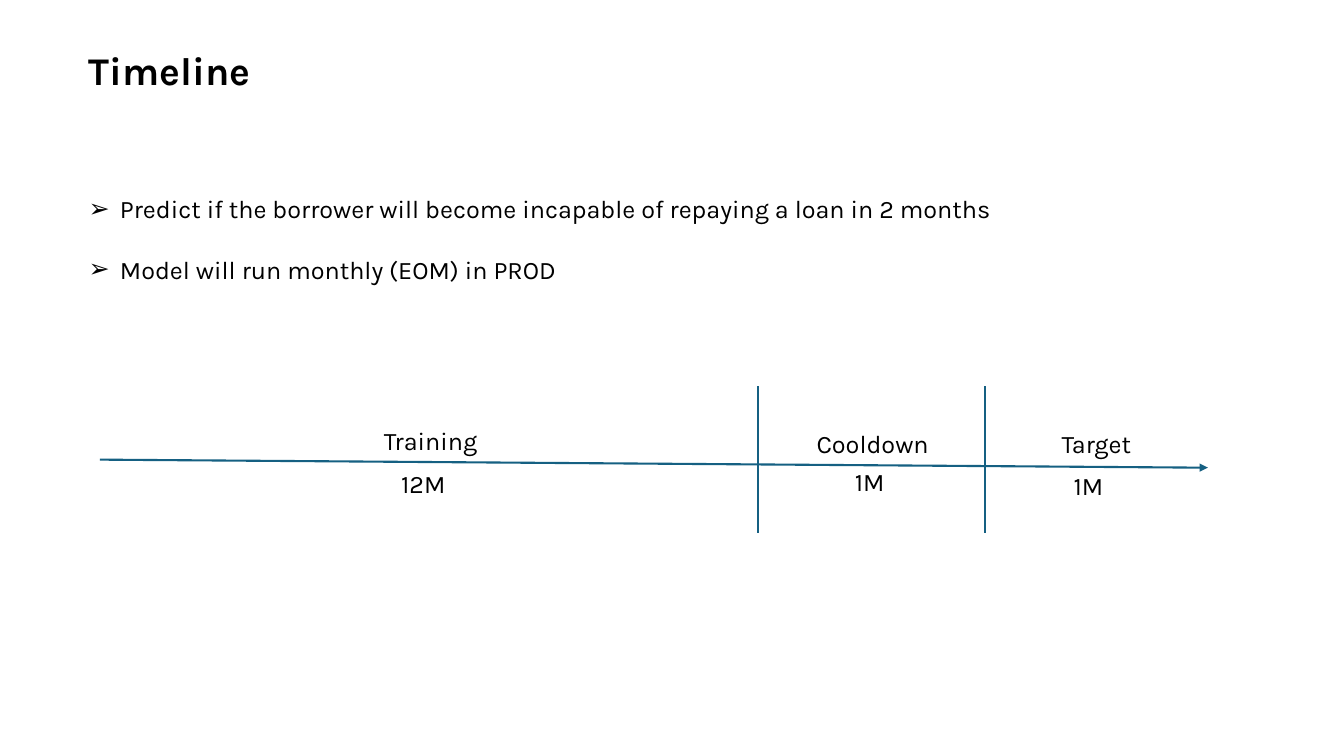
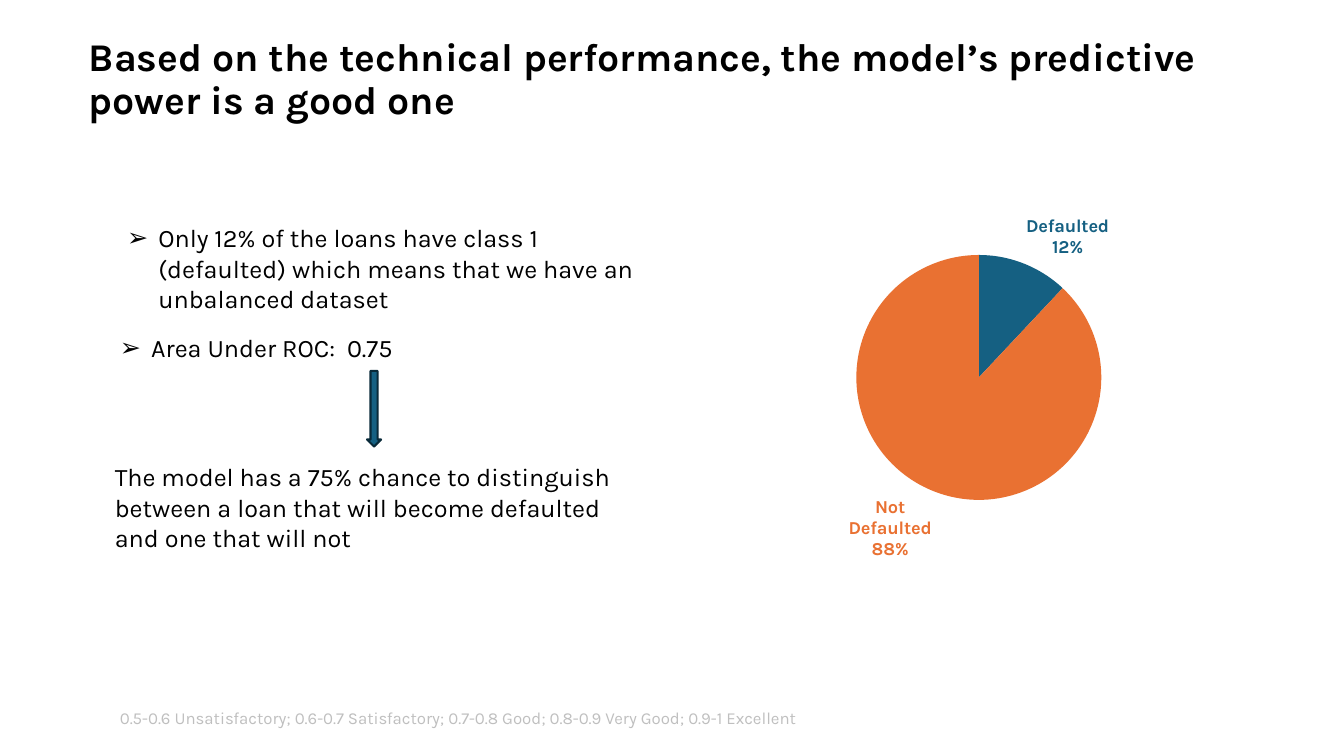
"""Build a loan model timeline slide and a model performance slide."""
from lxml import etree
from pptx import Presentation
from pptx.chart.data import CategoryChartData
from pptx.dml.color import RGBColor
from pptx.enum.chart import XL_CHART_TYPE, XL_LABEL_POSITION
from pptx.enum.shapes import MSO_CONNECTOR, MSO_SHAPE
from pptx.enum.text import MSO_ANCHOR, MSO_AUTO_SIZE, PP_ALIGN
from pptx.oxml.ns import qn
from pptx.util import Inches, Pt

PIE = XL_CHART_TYPE.PIE
OUTSIDE = XL_LABEL_POSITION.OUTSIDE_END
STRAIGHT = MSO_CONNECTOR.STRAIGHT
DOWN = MSO_SHAPE.DOWN_ARROW
MIDDLE, TOP = MSO_ANCHOR.MIDDLE, MSO_ANCHOR.TOP
LEFT = PP_ALIGN.LEFT
NO_FIT = MSO_AUTO_SIZE.NONE

FONT = "Karla"
BLACK, BLUE, NAVY, ORANGE, GREY = "000000", "156082", "092A39", "E97132", "BFBFBF"


def paint(color, code):
    color.rgb = RGBColor.from_string(code)


def style(frame, size=18, code=BLACK, bold=False):
    frame.word_wrap = True
    frame.auto_size = NO_FIT
    for para in frame.paragraphs:
        para.alignment = LEFT
        for run in para.runs:
            run.font.name = FONT
            run.font.size = Pt(size)
            run.font.bold = bold
            paint(run.font.color, code)


deck = Presentation()
deck.slide_width, deck.slide_height = Inches(13.33), Inches(7.5)

pages = [
    ("Timeline", 0, (0.78, 1.87, 9.79, 1.2), 21.5,
     [("Predict if the borrower will become incapable of repaying a loan in 2 months", 0.31),
      ("Model will run monthly (EOM) in PROD", 0.31)]),
    ("Based on the technical performance, the model’s predictive power is a good one",
     0.07, (1.09, 2.16, 5.45, 1.5), 13.5,
     [("Only 12% of the loans have class 1 (defaulted) which means that "
       "we have an unbalanced dataset", 0.38),
      ("Area Under ROC:  0.75", 0.31)]),
]
for name, top, box, gap, items in pages:
    slide = deck.slides.add_slide(deck.slide_layouts[1])
    title, body = slide.placeholders
    title.left, title.top = Inches(0.78), Inches(top)
    title.width, title.height = Inches(11.5), Inches(1.45)
    title.text_frame.text = name
    title.text_frame.vertical_anchor = MIDDLE
    title.text_frame.paragraphs[0].line_spacing = 0.9
    style(title.text_frame, 28, bold=True)

    body.left, body.top, body.width, body.height = map(Inches, box)
    frame = body.text_frame
    frame.vertical_anchor = TOP
    frame.text = "\n".join(text for text, _ in items)
    style(frame)
    for row, (para, (_, indent)) in enumerate(zip(frame.paragraphs, items)):
        para.line_spacing = 1.0
        para.space_before = Pt(gap if row else 0)
        props = para._p.get_or_add_pPr()
        props.set("marL", str(Inches(indent)))
        props.set("indent", str(Inches(-0.31)))
        etree.SubElement(props, qn("a:buFont")).set("typeface", "Arial")
        etree.SubElement(props, qn("a:buChar")).set("char", "➢")

plan, result = deck.slides

lines = [
    (0.99, 4.56, 11.98, 4.64, True),
    (7.52, 3.83, 7.52, 5.29, False),
    (9.77, 3.83, 9.77, 5.29, False),
]
for *ends, arrow in lines:
    line = plan.shapes.add_connector(STRAIGHT, *map(Inches, ends))
    paint(line.line.color, BLUE)
    line.line.width = Pt(1.5)
    if arrow:
        etree.SubElement(line.line._get_or_add_ln(), qn("a:tailEnd")).set("type", "triangle")
    etree.SubElement(line._element.spPr, qn("a:effectLst"))

notes = [
    (plan, "Training", 3.71, 4.17, 2.78, 0.4, 18, BLACK),
    (plan, "Cooldown", 8, 4.2, 2.78, 0.4, 18, BLACK),
    (plan, "Target", 10.43, 4.2, 2.78, 0.4, 18, BLACK),
    (plan, "12M", 3.88, 4.6, 2.78, 0.4, 18, BLACK),
    (plan, "1M", 8.38, 4.58, 2.78, 0.4, 18, BLACK),
    (plan, "1M", 10.55, 4.62, 2.78, 0.4, 18, BLACK),
    (result, "The model has a 75% chance to distinguish between a loan that will "
     "become defaulted and one that will not", 1.04, 4.53, 5.38, 1.01, 18, BLACK),
    (result, "0.5-0.6 Unsatisfactory; 0.6-0.7 Satisfactory; 0.7-0.8 Good; "
     "0.8-0.9 Very Good; 0.9-1 Excellent", 1.09, 6.97, 10.66, 0.3, 12, GREY),
]
for slide, text, *box, size, code in notes:
    note = slide.shapes.add_textbox(*map(Inches, box))
    note.text_frame.text = text
    style(note.text_frame, size, code)

arrow = result.shapes.add_shape(DOWN, *map(Inches, (3.64, 3.68, 0.14, 0.75)))
arrow.shadow.inherit = False
arrow.fill.solid()
paint(arrow.fill.fore_color, BLUE)
paint(arrow.line.color, NAVY)
arrow.line.width = Pt(1.5)

data = CategoryChartData()
data.categories = ["Defaulted", "Not Defaulted"]
data.add_series("Series 1", (12, 88))
chart = result.shapes.add_chart(PIE, *map(Inches, (7.23, 1.7, 4.86, 4.09)), data).chart
chart.has_title = chart.has_legend = False
chart.font.name, chart.font.size = FONT, Pt(10)
paint(chart.font.color, BLACK)
for index, code in enumerate((BLUE, ORANGE)):
    point = chart.plots[0].series[0].points[index]
    point.format.fill.solid()
    paint(point.format.fill.fore_color, code)
    label = point.data_label
    label.font.name, label.font.size, label.font.bold = FONT, Pt(13), True
    paint(label.font.color, code)
    label.position = OUTSIDE
for label in chart._chartSpace.iter(qn("c:dLbl")):
    for tag, show in (("c:showVal", "0"), ("c:showCatName", "1"), ("c:showPercent", "1")):
        label.find(qn(tag)).set("val", show)
    etree.SubElement(label, qn("c:separator")).text = "\n"

area = chart._chartSpace.chart.plotArea
layout = area.find(qn("c:layout"))
if layout is None:
    layout = etree.Element(qn("c:layout"))
    area.insert(0, layout)
manual = etree.SubElement(layout, qn("c:manualLayout"))
for tag, value in (("layoutTarget", "inner"), ("xMode", "edge"), ("yMode", "edge"),
                   ("x", "0.26"), ("y", "0.2"), ("w", "0.5"), ("h", "0.6")):
    etree.SubElement(manual, qn("c:" + tag)).set("val", value)

deck.save("out.pptx")
